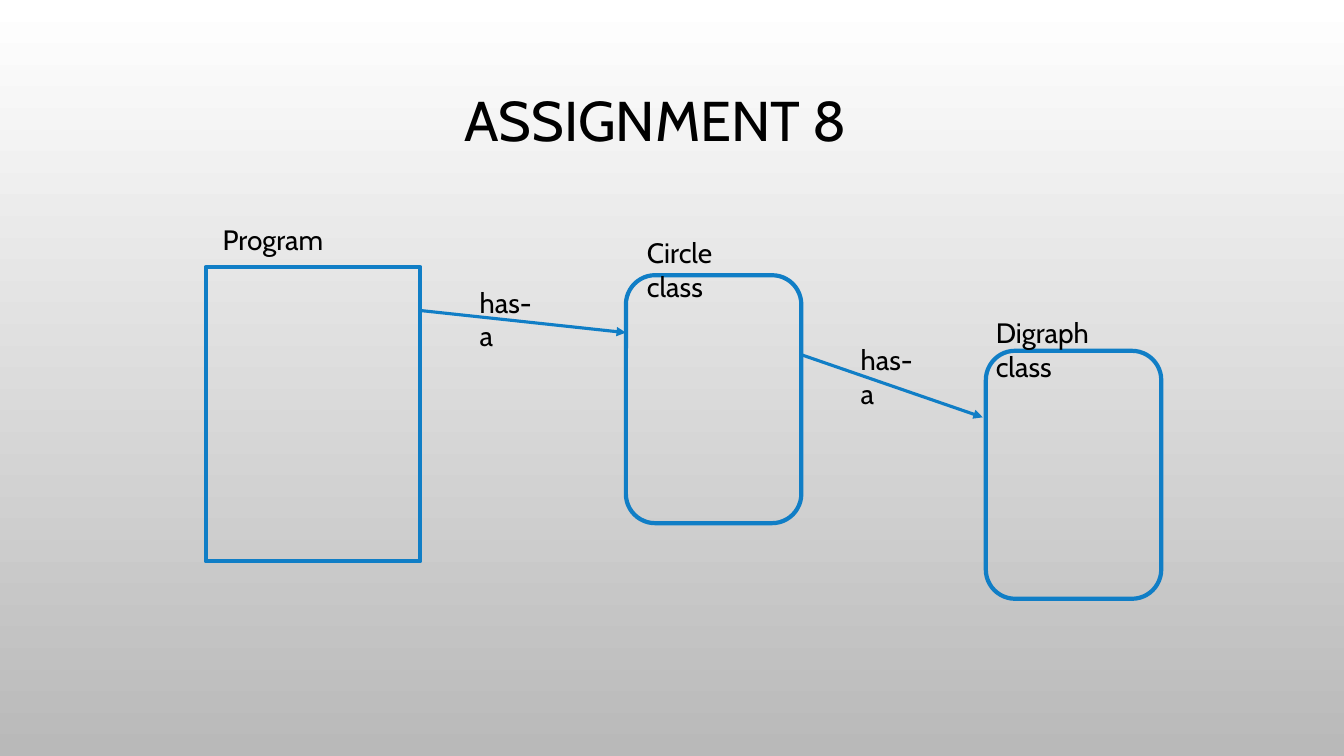
from dataclasses import dataclass

from lxml.etree import SubElement
from pptx import Presentation
from pptx.dml.color import RGBColor
from pptx.enum.shapes import MSO_CONNECTOR as Connector, MSO_SHAPE as Preset
from pptx.enum.text import MSO_ANCHOR as Anchor, PP_ALIGN as Align
from pptx.oxml.ns import qn
from pptx.slide import Slide
from pptx.util import Pt


@dataclass(frozen=True)
class Theme:
    font: str = "Cabin"
    ink: RGBColor = RGBColor(0x00, 0x00, 0x00)
    line: RGBColor = RGBColor(0x10, 0x7E, 0xC6)
    top: RGBColor = RGBColor(0xFF, 0xFF, 0xFF)
    bottom: RGBColor = RGBColor(0xB9, 0xB9, 0xB9)
    title_size: float = 40
    label_size: float = 20
    outline: float = 3
    arrow: float = 2.25


@dataclass(frozen=True)
class Node:
    preset: Preset
    left: float
    top: float
    width: float
    height: float


@dataclass(frozen=True)
class Label:
    text: str
    left: float
    top: float
    width: float
    height: float = 31.7


@dataclass(frozen=True)
class Arrow:
    start: tuple[float, float]
    end: tuple[float, float]


THEME = Theme()
CLASS_SIZE = (125.3, 177.1)

TITLE = Label("ASSIGNMENT 8", 60.5, 25.2, 815.8, 126)
NODES = [
    Node(Preset.RECTANGLE, 146.9, 190.8, 153.4, 210.2),
    Node(Preset.ROUNDED_RECTANGLE, 447.1, 196.6, *CLASS_SIZE),
    Node(Preset.ROUNDED_RECTANGLE, 704.2, 250.6, *CLASS_SIZE),
]
NODE_LABELS = [
    Label("Program", 151.9, 155.5, 194.4),
    Label("Circle class", 455, 164.9, 102.2),
    Label("Digraph class", 704.2, 221.8, 122.4),
]
ARROWS = [
    Arrow((300.2, 221.8), (447.1, 237.6)),
    Arrow((572.4, 253.4), (702, 298.1)),
]
ARROW_LABELS = [
    Label("has-a", left, top, 59) for left, top in [(335.5, 200.2), (607.7, 241.2)]
]


def paint_background(page: Slide) -> None:
    fill = page.background.fill
    fill.gradient()
    fill.gradient_angle = 270
    for stop, color in zip(fill.gradient_stops, (THEME.top, THEME.bottom)):
        stop.color.rgb = color


def add_label(
    page: Slide,
    label: Label,
    size: float = THEME.label_size,
    align: Align = Align.LEFT,
    anchor: Anchor = Anchor.TOP,
    spacing: float = 1.0,
) -> None:
    box = page.shapes.add_textbox(
        Pt(label.left), Pt(label.top), Pt(label.width), Pt(label.height)
    )
    frame = box.text_frame
    frame.word_wrap = True
    frame.vertical_anchor = anchor
    para = frame.paragraphs[0]
    para.text = label.text
    para.alignment = align
    para.line_spacing = spacing
    para.font.name = THEME.font
    para.font.size = Pt(size)
    para.font.color.rgb = THEME.ink


def add_node(page: Slide, node: Node) -> None:
    shape = page.shapes.add_shape(
        node.preset, Pt(node.left), Pt(node.top), Pt(node.width), Pt(node.height)
    )
    shape.shadow.inherit = False
    shape.fill.background()
    shape.line.color.rgb = THEME.line
    shape.line.width = Pt(THEME.outline)


def add_arrow(page: Slide, arrow: Arrow) -> None:
    ends = [Pt(value) for value in (*arrow.start, *arrow.end)]
    connector = page.shapes.add_connector(Connector.STRAIGHT, *ends)
    connector.line.color.rgb = THEME.line
    connector.line.width = Pt(THEME.arrow)
    properties = connector._element.spPr
    SubElement(properties.find(qn("a:ln")), qn("a:tailEnd"), type="triangle")
    SubElement(properties, qn("a:effectLst"))


# Deck with one blank page
deck = Presentation()
deck.slide_width, deck.slide_height = Pt(960), Pt(540)
page = deck.slides.add_slide(deck.slide_layouts[6])
paint_background(page)

# Title
add_label(page, TITLE, THEME.title_size, Align.CENTER, Anchor.MIDDLE, 0.9)

# Program and classes
for node in NODES:
    add_node(page, node)
for label in NODE_LABELS:
    add_label(page, label)

# Has-a relations
for arrow in ARROWS:
    add_arrow(page, arrow)
for label in ARROW_LABELS:
    add_label(page, label)

deck.save("out.pptx")
